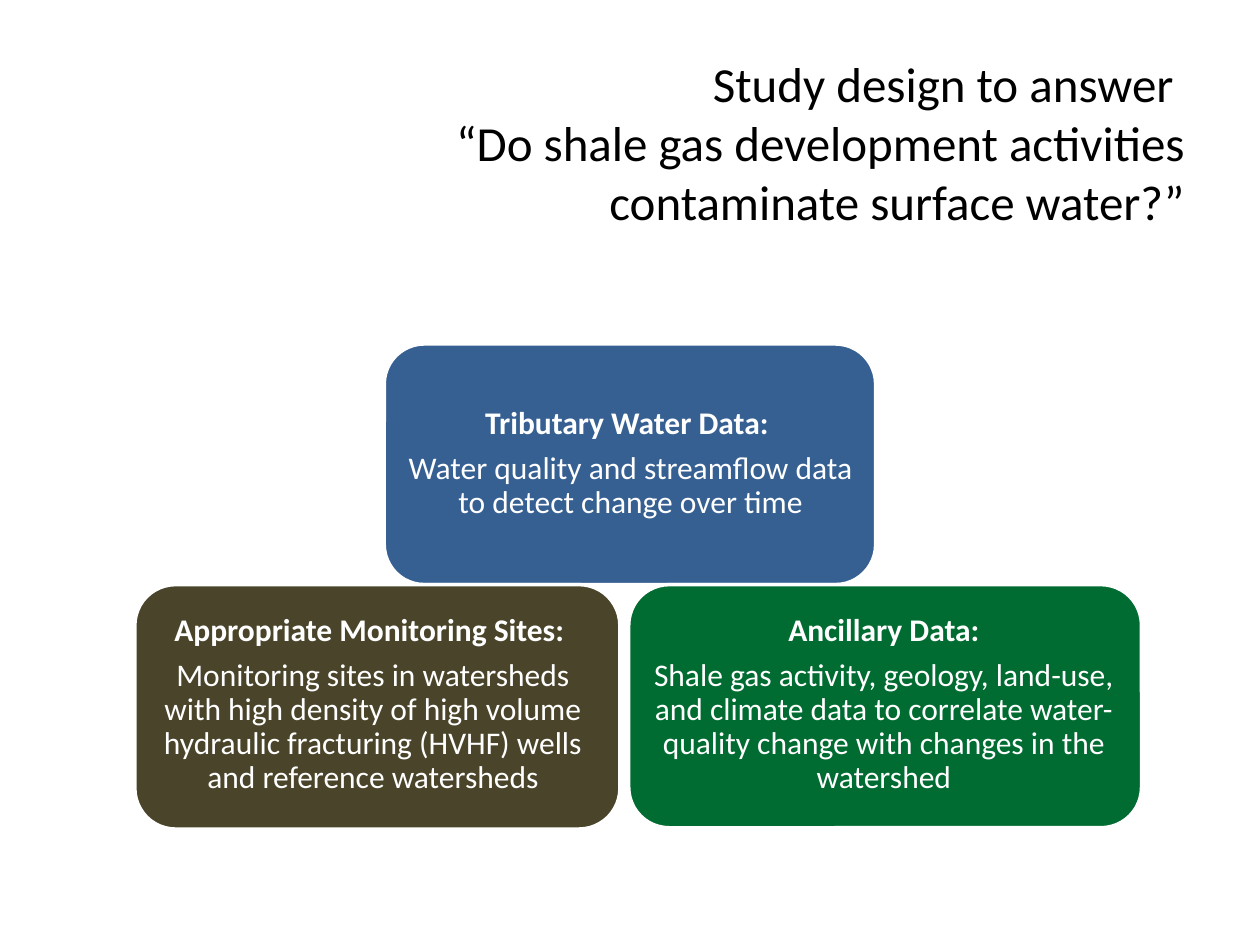
from pptx import Presentation
from pptx.dml.color import RGBColor
from pptx.enum.shapes import MSO_SHAPE
from pptx.enum.text import MSO_ANCHOR, MSO_AUTO_SIZE, PP_ALIGN
from pptx.util import Inches, Pt

FONT = "Calibri"
WHITE = "FFFFFF"

# Card box, text box, fill, heading, detail
CARDS = [
    ((3.05, 2.73, 3.9, 1.91), (3.06, 2.73, 3.89, 1.9), "376092",
     "Tributary Water Data: ",
     "Water quality and streamflow data to detect change over time"),
    ((1.07, 4.64, 3.85, 1.94), (1.17, 4.64, 3.58, 1.91), "4A452A",
     "Appropriate Monitoring Sites: ",
     "Monitoring sites in watersheds with high density of high volume "
     "hydraulic fracturing (HVHF) wells and reference watersheds"),
    ((4.99, 4.64, 4.07, 1.93), (4.97, 4.64, 4.09, 1.91), "006C31",
     "Ancillary Data:",
     "Shale gas activity, geology, land-use, and climate data to correlate "
     "water-quality change with changes in the watershed"),
]


def color(code):
    return RGBColor.from_string(code)


def inches(box):
    return [Inches(side) for side in box]


def style(para, size, code, align, bold=False):
    para.alignment = align
    for run in para.runs:
        font = run.font
        font.name = FONT
        font.size = Pt(size)
        font.bold = bold
        font.color.rgb = color(code)


def add_title(slide, box):
    title = slide.shapes.title
    title.left, title.top, title.width, title.height = inches(box)
    frame = title.text_frame
    frame.word_wrap = True
    frame.auto_size = MSO_AUTO_SIZE.NONE
    frame.vertical_anchor = MSO_ANCHOR.MIDDLE
    para = frame.paragraphs[0]
    para.text = ("Study design to answer \v“Do shale gas development "
                 "activities contaminate surface water?”")
    style(para, 28, "000000", PP_ALIGN.RIGHT)


def add_card(slide, box, area, fill, head, detail):
    # Rounded panel
    card = slide.shapes.add_shape(MSO_SHAPE.ROUNDED_RECTANGLE, *inches(box))
    card.shadow.inherit = False
    card.fill.solid()
    card.fill.fore_color.rgb = color(fill)
    card.line.color.rgb = color(WHITE)
    card.line.width = Pt(2)

    # Bold heading above its detail, in an area wider than the panel's own
    frame = slide.shapes.add_textbox(*inches(area)).text_frame
    frame.word_wrap = True
    frame.vertical_anchor = MSO_ANCHOR.MIDDLE
    frame.margin_left = frame.margin_right = Inches(0.05)
    frame.margin_top = frame.margin_bottom = Inches(0.05)
    frame.text = f"{head}\n{detail}"
    for para, bold in zip(frame.paragraphs, (True, False)):
        para.line_spacing = 0.9
        para.space_after = Pt(6.3)
        style(para, 18, WHITE, PP_ALIGN.CENTER, bold)


def main():
    deck = Presentation()
    deck.slide_width, deck.slide_height = Inches(10), Inches(7.5)
    slide = deck.slides.add_slide(deck.slide_layouts.get_by_name("Title Only"))
    add_title(slide, (2.67, 0.5, 6.83, 1.25))
    for card in CARDS:
        add_card(slide, *card)
    deck.save("out.pptx")


if __name__ == "__main__":
    main()
